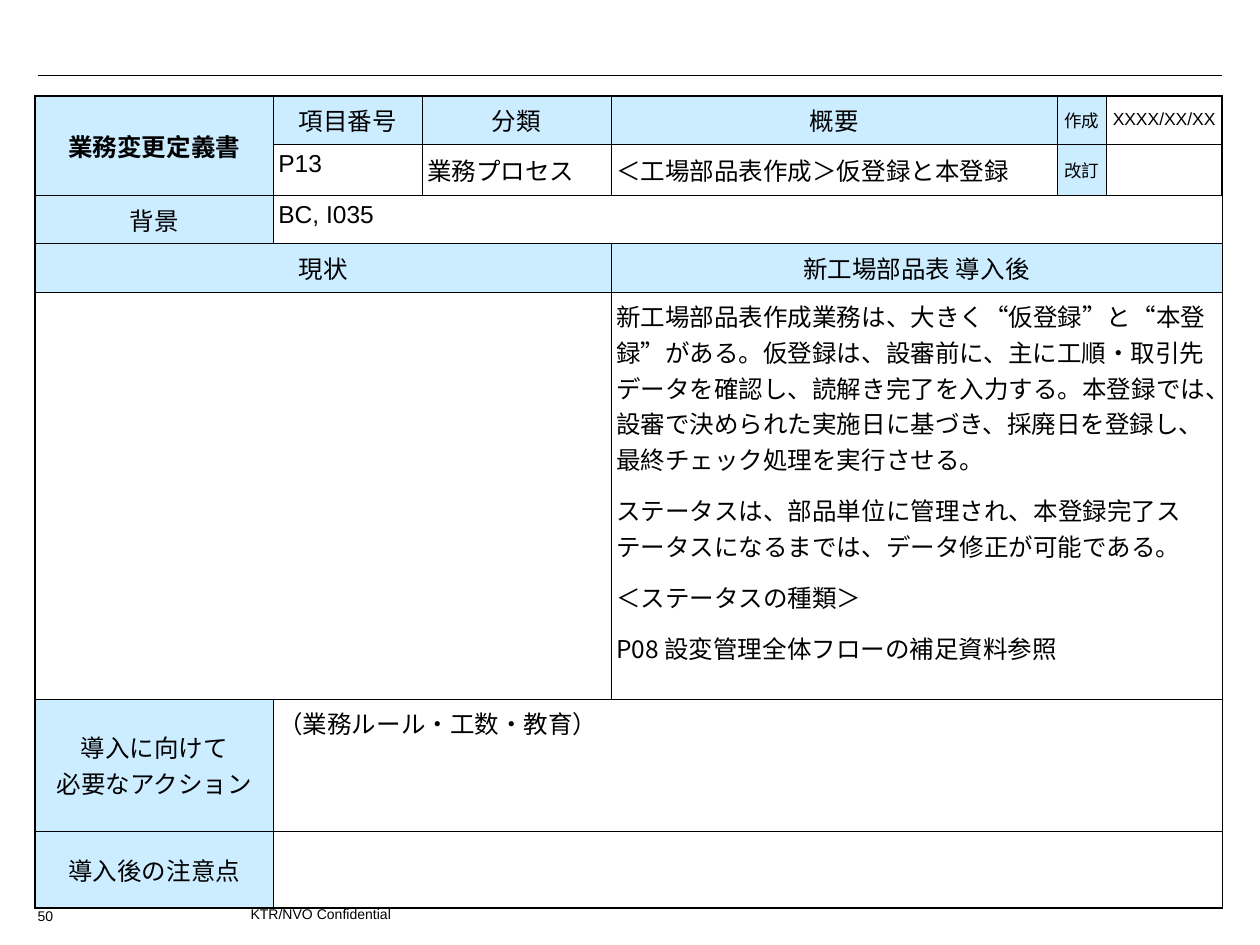
import pptx
import pptx.dml.color
import pptx.enum.shapes
import pptx.enum.text
import pptx.oxml.ns
import pptx.util
from lxml import etree

Inches = pptx.util.Inches
Pt = pptx.util.Pt
ALIGN = pptx.enum.text.PP_ALIGN
ANCHOR = pptx.enum.text.MSO_ANCHOR

COLORS = {"ink": "000000", "label": "CCECFF"}
COLUMNS = [1.89, 1.18, 1.5, 3.54, 0.39, 0.92]
ROWS = [0.31, 0.31, 0.32, 0.31, 3.23, 1.05, 0.61]
OUTER, INNER = 1.08, 0.45

# Cell styles: fill, placement and font
LABEL = {"fill": "label", "align": ALIGN.CENTER, "anchor": ANCHOR.MIDDLE}
TITLE = {**LABEL, "bold": True}
SMALL_LABEL = {**LABEL, "size": 10, "side": 0.02}
DATE = {**LABEL, "fill": None, "size": 10}
ENTRY = {}
CENTERED_ENTRY = {"anchor": ANCHOR.MIDDLE}
BODY = {"font": "Noto Sans CJK JP", "before": 8.8}

# Row, column, row span, column span, style, paragraphs
CELLS = [
    (0, 0, 2, 1, TITLE, ["業務変更定義書"]),
    (0, 1, 1, 1, LABEL, ["項目番号"]),
    (0, 2, 1, 1, LABEL, ["分類"]),
    (0, 3, 1, 1, LABEL, ["概要"]),
    (0, 4, 1, 1, SMALL_LABEL, ["作成"]),
    (0, 5, 1, 1, DATE, ["XXXX/XX/XX"]),
    (1, 1, 1, 1, ENTRY, ["P13"]),
    (1, 2, 1, 1, CENTERED_ENTRY, ["業務プロセス"]),
    (1, 3, 1, 1, CENTERED_ENTRY, ["＜工場部品表作成＞仮登録と本登録"]),
    (1, 4, 1, 1, SMALL_LABEL, ["改訂"]),
    (1, 5, 1, 1, ENTRY, []),
    (2, 0, 1, 1, LABEL, ["背景"]),
    (2, 1, 1, 5, ENTRY, ["BC, I035"]),
    (3, 0, 1, 3, LABEL, ["現状"]),
    (3, 3, 1, 3, LABEL, ["新工場部品表 導入後"]),
    (4, 0, 1, 3, ENTRY, []),
    (4, 3, 1, 3, BODY, [
        "新工場部品表作成業務は、大きく“仮登録”と“本登録”がある。"
        "仮登録は、設審前に、主に工順・取引先データを確認し、読解き完了を入力する。"
        "本登録では、設審で決められた実施日に基づき、採廃日を登録し、"
        "最終チェック処理を実行させる。",
        "ステータスは、部品単位に管理され、本登録完了ステータスになるまでは、"
        "データ修正が可能である。",
        "＜ステータスの種類＞",
        "P08 設変管理全体フローの補足資料参照",
    ]),
    (5, 0, 1, 1, LABEL, ["導入に向けて", "必要なアクション"]),
    (5, 1, 1, 5, ENTRY, ["（業務ルール・工数・教育）"]),
    (6, 0, 1, 1, LABEL, ["導入後の注意点"]),
    (6, 1, 1, 5, ENTRY, []),
]


def color(name):
    return pptx.dml.color.RGBColor.from_string(COLORS[name])


def set_all(target, values):
    for name, value in values.items():
        setattr(target, name, value)


def write(frame, lines, size, font="Arial", bold=False, align=None, before=0):
    for index, line in enumerate(lines):
        para = frame.paragraphs[0] if index == 0 else frame.add_paragraph()
        if align is not None:
            para.alignment = align
        para.space_before = Pt(before if index else 0)
        span = para.add_run()
        span.text = line
        set_all(span.font, {"name": font, "size": Pt(size), "bold": bold})
        span.font.color.rgb = color("ink")


def add_borders(cell, row, column):
    outer_sides = {
        "lnL": column == 0,
        "lnR": column == len(COLUMNS) - 1,
        "lnT": row == 0,
        "lnB": row == len(ROWS) - 1,
    }
    qn = pptx.oxml.ns.qn
    properties = cell._tc.get_or_add_tcPr()
    for side, is_outer in outer_sides.items():
        width = Pt(OUTER if is_outer else INNER)
        line = etree.SubElement(properties, qn("a:" + side), w=str(width))
        fill = etree.SubElement(line, qn("a:solidFill"))
        etree.SubElement(fill, qn("a:srgbClr"), val=COLORS["ink"])


def fill_cell(cell, style, lines):
    side = Inches(style.get("side", 0.04))
    set_all(cell, {
        "margin_left": side,
        "margin_right": side,
        "margin_top": Inches(0.05),
        "margin_bottom": Inches(0.05),
        "vertical_anchor": style.get("anchor", ANCHOR.TOP),
    })
    if style.get("fill"):
        cell.fill.solid()
        cell.fill.fore_color.rgb = color(style["fill"])
    font_keys = ("font", "bold", "align", "before")
    text_style = {key: style[key] for key in font_keys if key in style}
    write(cell.text_frame, lines, style.get("size", 14), **text_style)


def add_form(page):
    frame = page.shapes.add_table(
        len(ROWS), len(COLUMNS), Inches(0.28), Inches(0.76),
        Inches(sum(COLUMNS)), Inches(sum(ROWS)))
    table = frame.table
    set_all(table, {"first_row": False, "horz_banding": False})
    for column, width in zip(table.columns, COLUMNS):
        column.width = Inches(width)
    for row, height in zip(table.rows, ROWS):
        row.height = Inches(height)
    for row in range(len(ROWS)):
        for column in range(len(COLUMNS)):
            cell = table.cell(row, column)
            add_borders(cell, row, column)
            cell.fill.background()
    for row, column, height, width, style, lines in CELLS:
        cell = table.cell(row, column)
        if height * width > 1:
            cell.merge(table.cell(row + height - 1, column + width - 1))
        fill_cell(cell, style, lines)


def add_rule(page):
    rule = page.shapes.add_connector(
        pptx.enum.shapes.MSO_CONNECTOR.STRAIGHT,
        Inches(0.3), Inches(0.6), Inches(9.7), Inches(0.6))
    rule.line.color.rgb = color("ink")
    rule.line.width = Pt(0.75)
    etree.SubElement(rule._element.spPr, pptx.oxml.ns.qn("a:effectLst"))


def add_footer(page, left, top, width, text):
    box = page.shapes.add_textbox(
        Inches(left), Inches(top), Inches(width), Inches(0.2))
    box.text_frame.word_wrap = True
    write(box.text_frame, [text], 8)


def main():
    deck = pptx.Presentation()
    set_all(deck, {"slide_width": Inches(10), "slide_height": Inches(7.5)})
    page = deck.slides.add_slide(deck.slide_layouts[6])

    # Header rule and form
    add_rule(page)
    add_form(page)

    # Footer
    add_footer(page, 1.89, 7.14, 6.5, "KTR/NVO Confidential")
    add_footer(page, 0.2, 7.15, 0.4, "50")

    deck.save("out.pptx")


if __name__ == "__main__":
    main()
